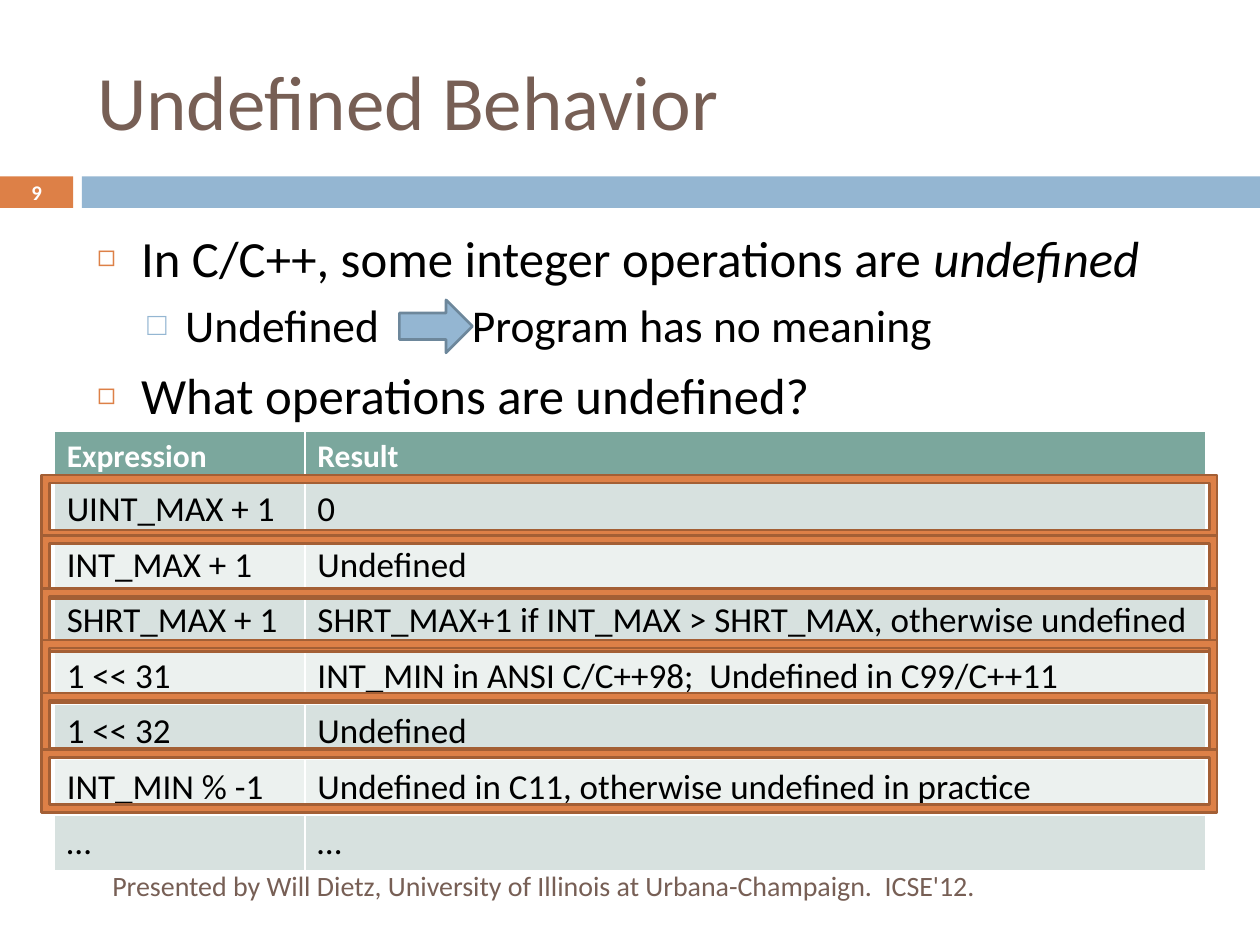
from dataclasses import dataclass

from lxml import etree
from pptx import Presentation
from pptx.dml.color import RGBColor
from pptx.enum.shapes import MSO_SHAPE
from pptx.enum.text import MSO_ANCHOR, MSO_AUTO_SIZE, PP_ALIGN
from pptx.oxml.ns import qn
from pptx.util import Inches, Pt

RECT, ARROW, FRAME = MSO_SHAPE.RECTANGLE, MSO_SHAPE.RIGHT_ARROW, MSO_SHAPE.FRAME
MID, TOP = MSO_ANCHOR.MIDDLE, MSO_ANCHOR.TOP
LEFT, RIGHT, MIDDLE = PP_ALIGN.LEFT, PP_ALIGN.RIGHT, PP_ALIGN.CENTER
FIXED = MSO_AUTO_SIZE.NONE

FONT = "Calibri"
WHITE, BLACK, BROWN = "FFFFFF", "000000", "775F55"
ORANGE, RUST, BLUE, SLATE = "DD8047", "A35F35", "94B6D2", "6D879B"
HEAD, BANDS = "7BA79D", ("D7E1DF", "ECF1EF")


@dataclass
class Level:
    size: float
    indent: float
    hang: float
    before: float
    mark: str
    tint: str
    scale: int


@dataclass
class Bullet:
    level: int
    runs: list  # (text, format values)


LEVELS = [
    Level(29, 0.35, 0.35, 7, "\u25fb", ORANGE, 60),
    Level(26, 0.7, 0.3, 5.5, "\u25a1", BLUE, 70),
]
BULLETS = [
    Bullet(0, [("In C/C++, some integer operations are ", {}),
               ("undefined", {"italic": True})]),
    # The widened space leaves room for the arrow
    Bullet(1, [("Undefined", {}), (" ", {"spacing": 47}),
               ("Program has no meaning", {})]),
    Bullet(0, [("What operations are undefined?", {})]),
]
ROWS = [
    ("Expression", "Result"),
    ("UINT_MAX + 1", "0"),
    ("INT_MAX + 1", "Undefined"),
    ("SHRT_MAX + 1", "SHRT_MAX+1 if INT_MAX > SHRT_MAX, otherwise undefined"),
    ("1 << 31", "INT_MIN in ANSI C/C++98;  Undefined in C99/C++11"),
    ("1 << 32", "Undefined"),
    ("INT_MIN % -1", "Undefined in C11, otherwise undefined in practice"),
    ("\u2026", "\u2026"),
]
WIDTHS = (1.99, 7.15)
FRAME_TOPS = (3.77, 4.25, 4.67, 5.08, 5.5, 5.95)


def rgb(code: str) -> RGBColor:
    return RGBColor.from_string(code)


def box(at: tuple) -> list:
    return [Inches(v) for v in at]


def add_run(para, text: str, size: float, color: str, spacing: int = 0, **extra) -> None:
    run = para.add_run()
    run.text = text
    for name, value in {"name": FONT, "size": Pt(size), **extra}.items():
        setattr(run.font, name, value)
    run.font.color.rgb = rgb(color)
    if spacing:
        run._r.get_or_add_rPr().set("spc", str(spacing * 100))


def set_frame(frame, anchor) -> None:
    values = {"word_wrap": True, "auto_size": FIXED, "vertical_anchor": anchor}
    for name, value in values.items():
        setattr(frame, name, value)


def write(shape, text: str, size: float, color: str, align, **extra) -> None:
    set_frame(shape.text_frame, MID)
    para = shape.text_frame.paragraphs[0]
    para.alignment = align
    add_run(para, text, size, color, **extra)


def place(shape, at: tuple) -> None:
    for name, value in zip(("left", "top", "width", "height"), box(at)):
        setattr(shape, name, value)


def add_form(slide, kind, at: tuple, fill: str, line: str = "") -> None:
    shape = slide.shapes.add_shape(kind, *box(at))
    shape.shadow.inherit = False
    shape.fill.solid()
    shape.fill.fore_color.rgb = rgb(fill)
    if line:
        shape.line.color.rgb = rgb(line)
        shape.line.width = Pt(1.5)
    else:
        shape.line.fill.background()


def add_mark(para, level: Level) -> None:
    props = para._p.get_or_add_pPr()
    props.set("marL", str(Inches(level.indent)))
    props.set("indent", str(-Inches(level.hang)))
    tint = etree.SubElement(props, qn("a:buClr"))
    etree.SubElement(tint, qn("a:srgbClr"), val=level.tint)
    etree.SubElement(props, qn("a:buSzPct"), val=str(level.scale * 1000))
    etree.SubElement(props, qn("a:buChar"), char=level.mark)


def fill_body(shape) -> None:
    frame = shape.text_frame
    set_frame(frame, TOP)
    for i, item in enumerate(BULLETS):
        para = frame.add_paragraph() if i else frame.paragraphs[0]
        level = LEVELS[item.level]
        para.level = item.level
        para.space_before = Pt(level.before)
        add_mark(para, level)
        for text, extra in item.runs:
            add_run(para, text, level.size, BLACK, **extra)


def add_edges(cell, base: int) -> None:
    props = cell._tc.get_or_add_tcPr()
    widths = {"a:lnL": 1, "a:lnR": 1, "a:lnT": 1, "a:lnB": base}
    for i, (tag, width) in enumerate(widths.items()):
        edge = etree.Element(qn(tag), w=str(Pt(width)))
        solid = etree.SubElement(edge, qn("a:solidFill"))
        etree.SubElement(solid, qn("a:srgbClr"), val=WHITE)
        props.insert(i, edge)


def add_grid(slide) -> None:
    at = box((0.43, 3.42, sum(WIDTHS), 0.38 * len(ROWS)))
    table = slide.shapes.add_table(len(ROWS), len(WIDTHS), *at).table
    for col, width in zip(table.columns, WIDTHS):
        col.width = Inches(width)
    for r, texts in enumerate(ROWS):
        table.rows[r].height = Inches(0.38)
        for c, text in enumerate(texts):
            cell = table.cell(r, c)
            cell.fill.solid()
            cell.fill.fore_color.rgb = rgb(BANDS[(r - 1) % 2] if r else HEAD)
            add_edges(cell, 1 if r else 3)
            size, color = (20, BLACK) if r else (18, WHITE)
            add_run(cell.text_frame.paragraphs[0], text, size, color, bold=not r)


deck = Presentation()
deck.slide_width, deck.slide_height = Inches(10), Inches(7.5)
slide = deck.slides.add_slide(deck.slide_layouts[1])

# Title band
add_form(slide, RECT, (0, 1.4, 0.58, 0.25), ORANGE)
add_form(slide, RECT, (0.65, 1.4, 9.35, 0.25), BLUE)

# Title and bullets
title, body = slide.shapes.title, slide.placeholders[1]
place(title, (0.67, 0.25, 8.92, 1.08))
write(title, "Undefined Behavior", 44, BROWN, LEFT)
place(body, (0.67, 1.75, 8.92, 5.42))
fill_body(body)

# Footer and page number
foot = slide.shapes.add_textbox(*box((0.67, 6.83, 7.17, 0.4)))
write(foot, "Presented by Will Dietz, University of Illinois at Urbana-Champaign.  ICSE'12.",
      16, BROWN, RIGHT)
page = slide.shapes.add_textbox(*box((0, 1.39, 0.58, 0.27)))
write(page, "9", 11.9, WHITE, MIDDLE, bold=True)

# Table, arrow and row frames
add_grid(slide)
add_form(slide, ARROW, (3.17, 2.38, 0.58, 0.42), BLUE, SLATE)
for top in FRAME_TOPS:
    add_form(slide, FRAME, (0.33, top, 9.33, 0.5), ORANGE, RUST)

deck.save("out.pptx")
